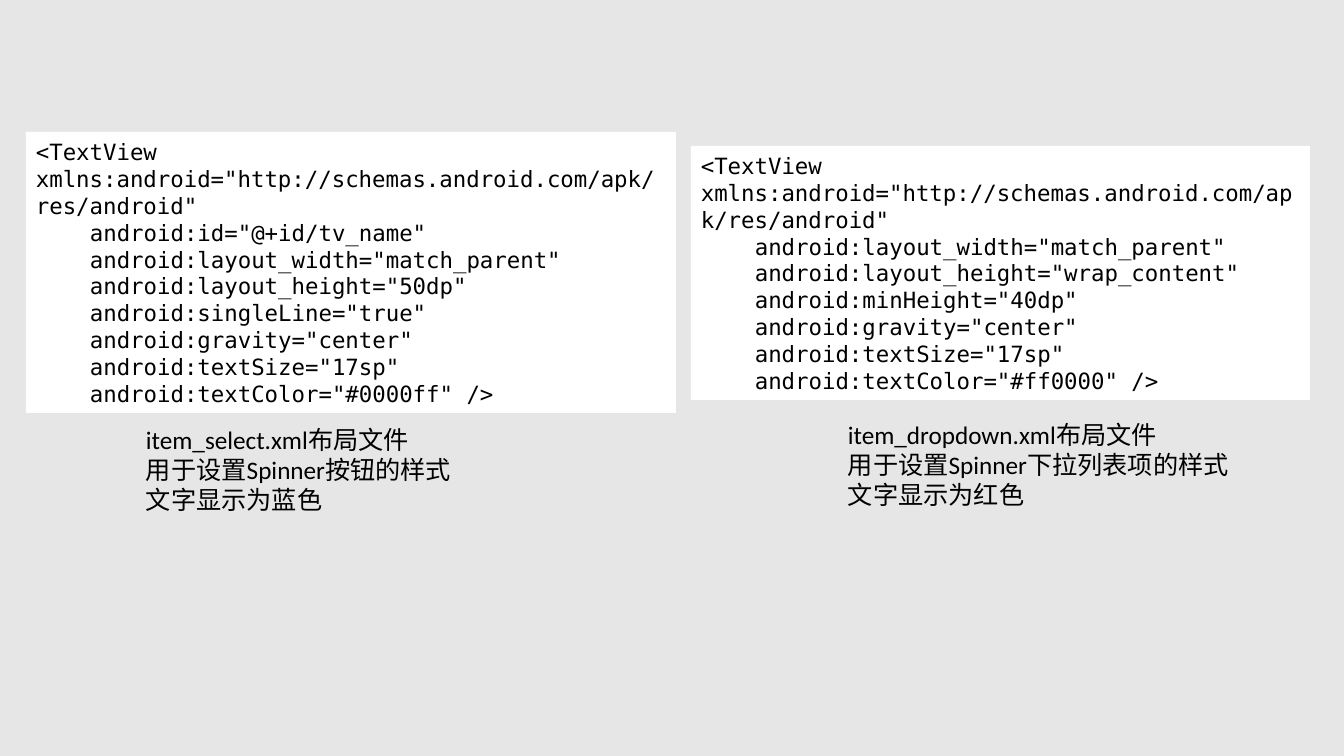
import dataclasses
import pptx
import pptx.util
import pptx.dml.color
import pptx.enum.shapes
import pptx.enum.text


@dataclasses.dataclass(frozen=True)
class Theme:
    background: str = "E6E6E6"
    panel: str = "FFFFFF"
    ink: str = "000000"
    code_font: str = "DejaVu Sans Mono"
    caption_font: str = "Calibri"
    code_size: int = 16
    caption_size: int = 18


class SlideBuilder:
    EMU_PER_PX = 914400 / 100.8
    CODE_INDENT = 54

    def __init__(self, slide, theme):
        self.slide = slide
        self.theme = theme
        self.fill(slide.background.fill, theme.background)

    @classmethod
    def px(cls, length):
        return pptx.util.Emu(round(length * cls.EMU_PER_PX))

    @staticmethod
    def fill(target, colour):
        target.solid()
        target.fore_color.rgb = pptx.dml.color.RGBColor.from_string(colour)

    def set_lines(self, frame, lines, font, size):
        frame.word_wrap = True
        frame.text = "\n".join(lines)
        for paragraph in frame.paragraphs:
            paragraph.alignment = pptx.enum.text.PP_ALIGN.LEFT
            paragraph.font.name = font
            paragraph.font.size = pptx.util.Pt(size)
            self.fill(paragraph.font.fill, self.theme.ink)

    def code(self, box, tag, attributes):
        panel = self.slide.shapes.add_shape(
            pptx.enum.shapes.MSO_SHAPE.RECTANGLE, *map(self.px, box))
        panel.shadow.inherit = False
        panel.line.fill.background()
        self.fill(panel.fill, self.theme.panel)
        frame = panel.text_frame
        frame.vertical_anchor = pptx.enum.text.MSO_ANCHOR.MIDDLE
        self.set_lines(frame, [tag, *attributes], self.theme.code_font, self.theme.code_size)
        for attribute in frame.paragraphs[1:]:
            attribute._p.get_or_add_pPr().set("marL", str(self.px(self.CODE_INDENT)))

    def caption(self, box, lines):
        note = self.slide.shapes.add_textbox(*map(self.px, box))
        self.set_lines(note.text_frame, lines, self.theme.caption_font, self.theme.caption_size)


def main():
    deck = pptx.Presentation()
    deck.slide_width = SlideBuilder.px(1344)
    deck.slide_height = SlideBuilder.px(756)
    builder = SlideBuilder(deck.slides.add_slide(deck.slide_layouts[6]), Theme())

    opening_tag = '<TextView xmlns:android="http://schemas.android.com/apk/res/android"'
    builder.code((691, 146, 619, 254), opening_tag, [
        'android:layout_width="match_parent"',
        'android:layout_height="wrap_content"',
        'android:minHeight="40dp"',
        'android:gravity="center"',
        'android:textSize="17sp"',
        'android:textColor="#ff0000" />',
    ])
    builder.code((26, 132, 650, 281), opening_tag, [
        'android:id="@+id/tv_name"',
        'android:layout_width="match_parent"',
        'android:layout_height="50dp"',
        'android:singleLine="true"',
        'android:gravity="center"',
        'android:textSize="17sp"',
        'android:textColor="#0000ff" />',
    ])
    builder.caption((136, 419, 431, 102), [
        "item_select.xml布局文件", "用于设置Spinner按钮的样式", "文字显示为蓝色"])
    builder.caption((838, 414, 421, 102), [
        "item_dropdown.xml布局文件", "用于设置Spinner下拉列表项的样式", "文字显示为红色"])

    deck.save("out.pptx")


if __name__ == "__main__":
    main()
